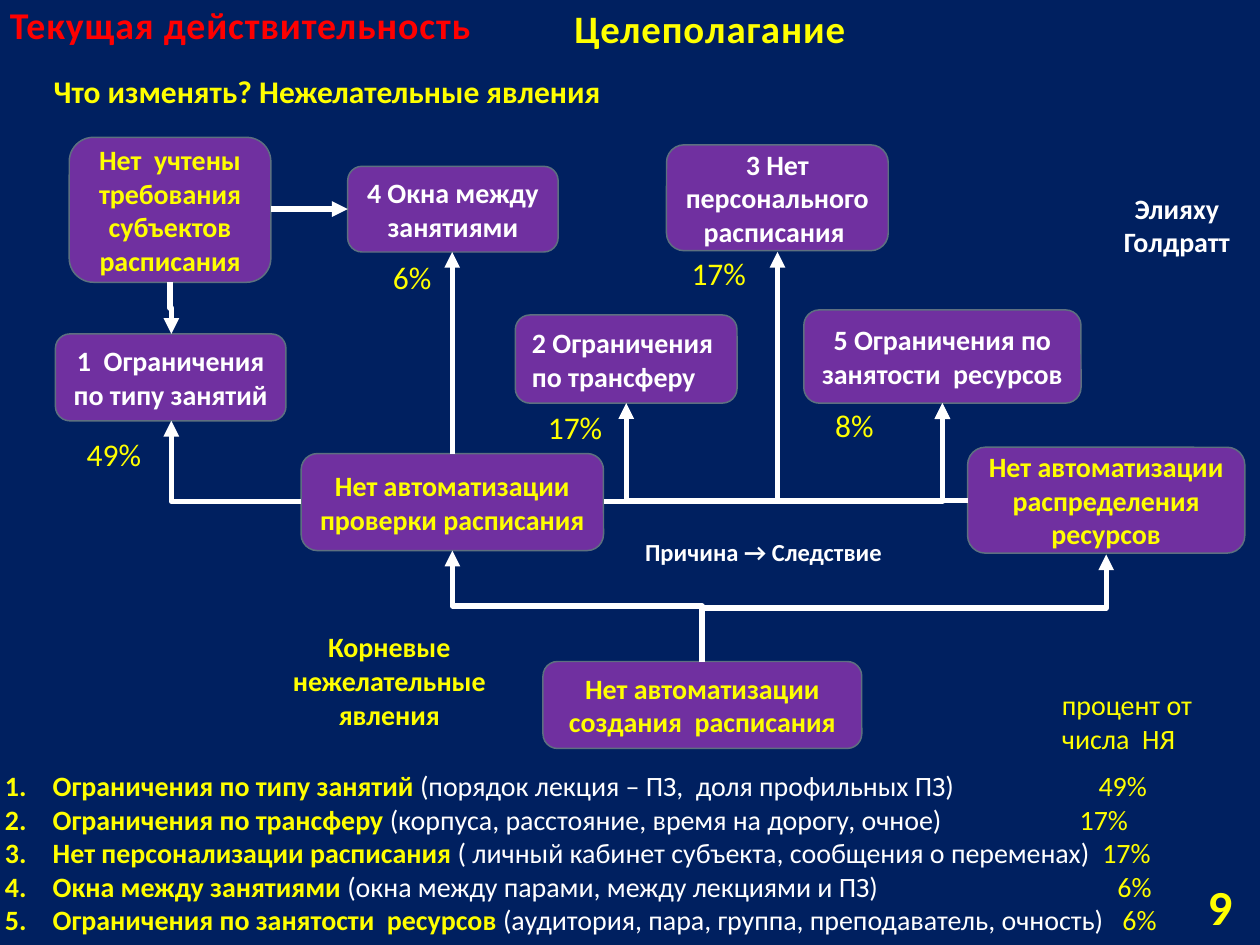
"""Build the slide on undesirable effects in timetable planning."""
from lxml.etree import SubElement
from pptx import Presentation
from pptx.dml.color import RGBColor
from pptx.enum.shapes import MSO_CONNECTOR as LINK, MSO_SHAPE as SHAPE
from pptx.enum.text import MSO_ANCHOR as ANCHOR, PP_ALIGN as ALIGN
from pptx.oxml.ns import qn
from pptx.util import Inches, Pt

COLORS = {"navy": "002060", "purple": "7030A0", "edge": "5D7080",
          "white": "FFFFFF", "yellow": "FFFF00", "red": "FF0000"}
COLORS = {name: RGBColor.from_string(value) for name, value in COLORS.items()}


def style(span, size, color, bold):
    span.font.name = "Calibri"
    span.font.size = Pt(size)
    span.font.bold = bold
    span.font.color.rgb = COLORS[color]


def write(box, text, size, color, bold, align, anchor=ANCHOR.TOP):
    frame = box.text_frame
    frame.word_wrap = True
    frame.vertical_anchor = anchor
    frame.text = text
    for para in frame.paragraphs:
        para.alignment = align
        for span in para.runs:
            style(span, size, color, bold)


deck = Presentation()
deck.slide_width, deck.slide_height = Inches(10), Inches(7.5)
page = deck.slides.add_slide(deck.slide_layouts[6])
page.background.fill.solid()
page.background.fill.fore_color.rgb = COLORS["navy"]

headings = [
    ("Текущая действительность", -0.02, -0.05, 4.05, 0.48, 21.6, "red"),
    ("Целеполагание", 4.46, 0, 2.43, 0.45, 22.2, "yellow"),
]
for text, left, top, width, height, size, color in headings:
    box = page.shapes.add_textbox(Inches(left), Inches(top), Inches(width), Inches(height))
    write(box, text, size, color, True, ALIGN.LEFT, ANCHOR.MIDDLE)
    box.text_frame.word_wrap = False
    box.text_frame.paragraphs[0].runs[0].font._element.set("spc", "50")

effects = [
    ("3 Нет персонального расписания ", 5.29, 1.15, 1.76, 0.84, "white", ALIGN.CENTER),
    ("4 Окна между занятиями", 2.76, 1.32, 1.67, 0.68, "white", ALIGN.CENTER),
    ("5 Ограничения по занятости  ресурсов", 6.38, 2.46, 2.2, 0.74, "white", ALIGN.CENTER),
    ("2 Ограничения по трансферу", 4.09, 2.5, 1.76, 0.7, "white", ALIGN.LEFT),
    ("1  Ограничения по типу занятий", 0.44, 2.65, 1.83, 0.69, "white", ALIGN.CENTER),
    ("Нет  учтены требования субъектов расписания", 0.55, 1.09, 1.6, 1.15, "yellow", ALIGN.CENTER),
    ("Нет автоматизации проверки расписания", 2.39, 3.6, 2.4, 0.77, "yellow", ALIGN.CENTER),
    ("Нет автоматизации распределения ресурсов", 7.68, 3.55, 2.2, 0.84, "yellow", ALIGN.CENTER),
    ("Нет автоматизации создания  расписания", 4.31, 5.25, 2.53, 0.69, "yellow", ALIGN.CENTER),
]
for text, left, top, width, height, color, align in effects:
    box = page.shapes.add_shape(SHAPE.ROUNDED_RECTANGLE, Inches(left), Inches(top),
                                Inches(width), Inches(height))
    box.shadow.inherit = False
    box.fill.solid()
    box.fill.fore_color.rgb = COLORS["purple"]
    box.line.color.rgb = COLORS["edge"]
    box.line.width = Pt(0.85)
    write(box, text, 16, color, True, align, ANCHOR.MIDDLE)

arrows = [
    (8.78, 4.4, 5.57, 5.25, "bentConnector3"),
    (3.59, 4.37, 5.57, 5.25, "bentConnector3"),
    (1.36, 2.65, 1.35, 2.24, "bentConnector3"),
    (3.59, 2, 3.59, 3.6, "bentConnector3"),
    (2.76, 1.66, 2.15, 1.66, "bentConnector3"),
    (1.36, 3.34, 2.39, 3.98, "bentConnector2"),
    (7.48, 3.2, 4.79, 3.98, "bentConnector2"),
    (4.97, 3.2, 7.68, 3.97, "bentConnector2"),
    (6.17, 2, 7.68, 3.97, "bentConnector2"),
    (7.48, 3.2, 7.68, 3.97, "bentConnector2"),
]
for head_x, head_y, tail_x, tail_y, kind in arrows:
    if head_y == tail_y:
        arrow = page.shapes.add_connector(LINK.ELBOW, Inches(head_x), Inches(head_y),
                                          Inches(tail_x), Inches(tail_y))
    else:
        middle_x, middle_y = (head_x + tail_x) / 2, (head_y + tail_y) / 2
        half_w, half_h = abs(tail_y - head_y) / 2, abs(tail_x - head_x) / 2
        arrow = page.shapes.add_connector(
            LINK.ELBOW, Inches(middle_x - half_w), Inches(middle_y - half_h),
            Inches(middle_x + half_w), Inches(middle_y + half_h))
        frame = arrow._element.spPr.find(qn("a:xfrm"))
        frame.set("rot", str(270 * 60000))
        frame.set("flipH", str(int(tail_y > head_y)))
        frame.set("flipV", str(int(tail_x < head_x)))
    arrow._element.spPr.find(qn("a:prstGeom")).set("prst", kind)
    arrow.line.color.rgb = COLORS["white"]
    arrow.line.width = Pt(3)
    SubElement(arrow.line._get_or_add_ln(), qn("a:headEnd"), type="triangle")
    SubElement(arrow._element.spPr, qn("a:effectLst"))

labels = [
    ("Корневые нежелательные явления", 2.03, 4.95, 2.12, 0.91, 16, "yellow", True, ALIGN.CENTER),
    ("Что изменять? Нежелательные явления ", 0.05, 0.52, 5.15, 0.4, 18, "yellow", True, ALIGN.CENTER),
    ("Элияху Голдратт", 8.8, 1.47, 1.08, 0.64, 16, "white", True, ALIGN.CENTER),
    ("Причина → Следствие", 4.92, 4.21, 2.28, 0.34, 14, "white", True, ALIGN.CENTER),
    ("процент от\nчисла  НЯ", 8.33, 5.41, 1.32, 0.64, 16, "yellow", False, ALIGN.LEFT),
    ("9", 8.93, 6.99, 0.95, 0.4, 28, "yellow", True, ALIGN.RIGHT),
]
shares = [("49%", 0.59, 3.4), ("17%", 4.25, 3.19), ("17%", 5.39, 1.97),
          ("8%", 6.53, 3.17), ("6%", 3.02, 2)]
labels += [(*share, 0.7, 0.4, 18, "yellow", False, ALIGN.LEFT) for share in shares]
for text, left, top, width, height, size, color, bold, align in labels:
    box = page.shapes.add_textbox(Inches(left), Inches(top), Inches(width), Inches(height))
    anchor = ANCHOR.MIDDLE if size == 28 else ANCHOR.TOP
    write(box, text, size, color, bold, align, anchor)

summary = [
    ("Ограничения по типу занятий ", "(порядок лекция – ПЗ,  доля профильных ПЗ)", "49%", 8.68),
    ("Ограничения по трансферу ", "(корпуса, расстояние, время на дорогу, очное)", "17%", 8.53),
    ("Нет персонализации расписания ", "( личный кабинет субъекта, сообщения о переменах)", "17%", 8.71),
    ("Окна между занятиями ", "(окна между парами, между лекциями и ПЗ)", "6%", 8.83),
    ("Ограничения по занятости  ресурсов ", "(аудитория, пара, группа, преподаватель, очность)", "6%", 8.87),
]
box = page.shapes.add_textbox(Inches(-0.06), Inches(6.05), Inches(9.55), Inches(1.45))
box.text_frame.word_wrap = True
for index, (effect, detail, share, stop) in enumerate(summary):
    para = box.text_frame.paragraphs[0] if index == 0 else box.text_frame.add_paragraph()
    for text, color, bold in [(effect, "yellow", True), (detail + "\t", "white", False),
                              (share, "yellow", False)]:
        span = para.add_run()
        span.text = text
        style(span, 16, color, bold)
    layout = para._p.get_or_add_pPr()
    layout.set("marL", str(Inches(0.38)))
    layout.set("indent", str(Inches(-0.38)))
    SubElement(layout, qn("a:buFont"), typeface="+mj-lt")
    SubElement(layout, qn("a:buAutoNum"), type="arabicPeriod")
    SubElement(SubElement(layout, qn("a:tabLst")), qn("a:tab"), pos=str(Inches(stop)), algn="l")

deck.save("out.pptx")
